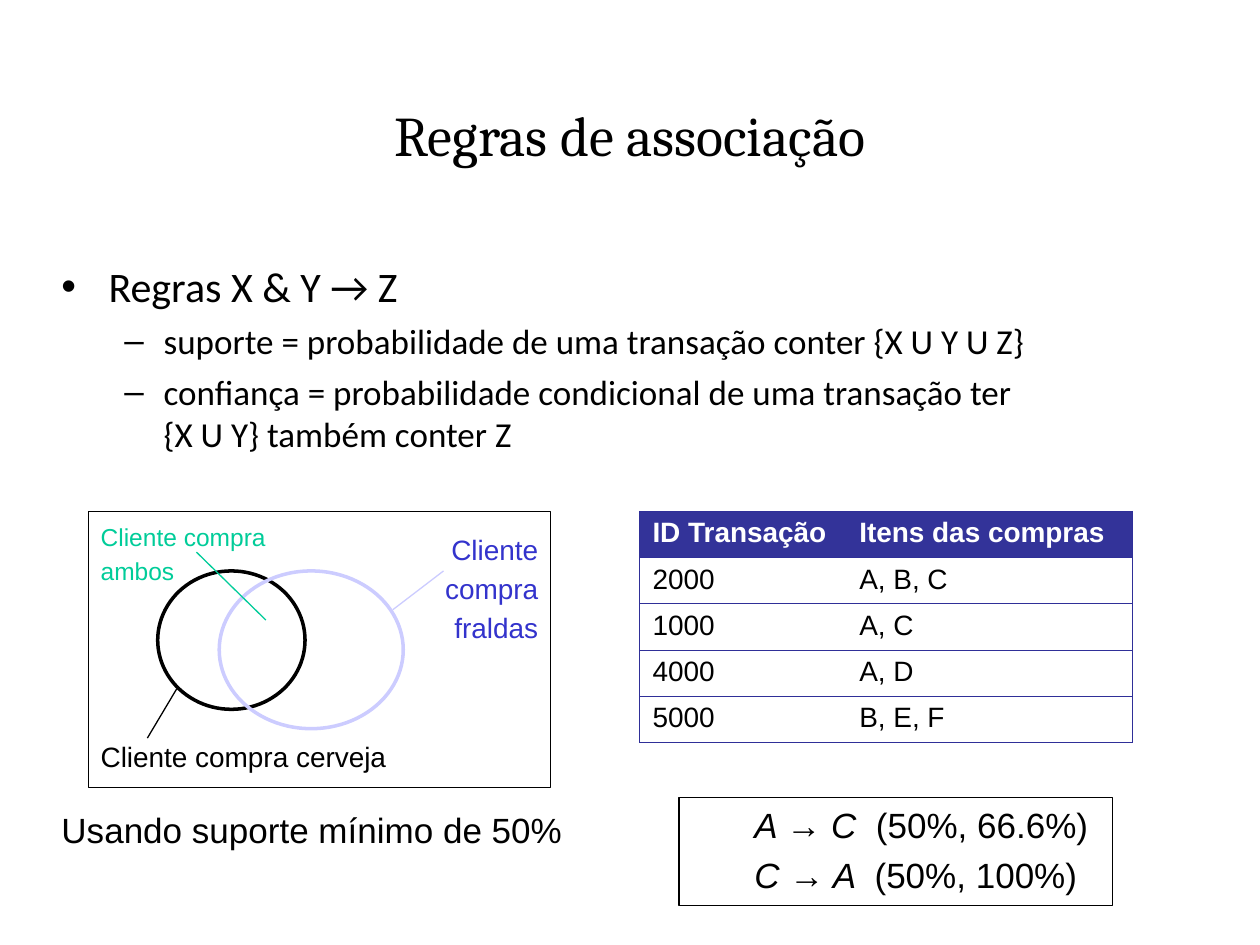
from lxml import etree
from pptx import Presentation
from pptx.dml.color import RGBColor
from pptx.enum import shapes, text
from pptx.oxml import ns
from pptx.util import Cm, Pt

BLACK = RGBColor(0x00, 0x00, 0x00)
WHITE = RGBColor(0xFF, 0xFF, 0xFF)
LILAC = RGBColor(0xCC, 0xCC, 0xFF)
BLUE = RGBColor(0x33, 0x33, 0xCC)
GREEN = RGBColor(0x00, 0xCC, 0x99)
HEADER = RGBColor(0x33, 0x33, 0x99)
BORDER = RGBColor(0x2F, 0x2F, 0x98)

PURCHASES = [
    ("ID Transação", "Itens das compras"),
    ("2000", "A, B, C"),
    ("1000", "A, C"),
    ("4000", "A, D"),
    ("5000", "B, E, F"),
]


def apply(target, settings):
    for name, value in settings.items():
        setattr(target, name, value)


def style_font(font, size, color=BLACK, name="Arial", **extra):
    apply(font, {"size": Pt(size), "name": name, **extra})
    font.color.rgb = color


def add_text(slide, box, words, size, color=BLACK, name="Arial", **layout):
    frame = slide.shapes.add_textbox(*map(Cm, box)).text_frame
    frame.word_wrap = True
    paragraph = frame.paragraphs[0]
    paragraph.text = words
    apply(paragraph, layout)
    style_font(paragraph.font, size, color, name)
    return frame


def indent(paragraph, left, hanging, bullet=None):
    """Set a hanging indent and, where given, a bullet character."""
    properties = paragraph._p.get_or_add_pPr()
    properties.set("marL", str(Cm(left)))
    properties.set("indent", str(-Cm(hanging)))
    if bullet:
        etree.SubElement(properties, ns.qn("a:buFont"), typeface="Arial")
        etree.SubElement(properties, ns.qn("a:buChar"), char=bullet)


def add_outline(slide, kind, box, color=BLACK, width=0.75):
    outline = slide.shapes.add_shape(kind, *map(Cm, box))
    outline.shadow.inherit = False
    outline.fill.background()
    outline.line.color.rgb = color
    outline.line.width = Pt(width)
    return outline


def add_pointer(slide, start, end, color):
    pointer = slide.shapes.add_connector(
        shapes.MSO_CONNECTOR.STRAIGHT, *map(Cm, start + end))
    pointer.line.color.rgb = color
    pointer.line.width = Pt(0.75)
    etree.SubElement(pointer._element.spPr, ns.qn("a:effectLst"))


def add_definitions(slide):
    items = [
        ("Regras X & Y → Z", 24, 0.95, 0.95, "•"),
        ("suporte = probabilidade de uma transação conter {X U Y U Z}",
         20, 2.06, 0.79, "–"),
        ("confiança = probabilidade condicional de uma transação ter\v"
         "{X U Y} também conter Z", 20, 2.06, 0.79, "–"),
    ]
    frame = slide.shapes.add_textbox(
        Cm(0.99), Cm(5.13), Cm(23.42), Cm(13.21)).text_frame
    frame.word_wrap = True
    for index, (words, size, left, hanging, bullet) in enumerate(items):
        paragraph = frame.add_paragraph() if index else frame.paragraphs[0]
        paragraph.text = words
        paragraph.space_before = Pt(5 if index else 0)
        style_font(paragraph.font, size, name="Calibri")
        indent(paragraph, left, hanging, bullet)


def add_venn(slide):
    oval = shapes.MSO_SHAPE.OVAL
    add_outline(slide, oval, (3.18, 11.51, 2.97, 2.79), width=2)
    add_outline(slide, oval, (4.42, 11.51, 3.71, 3.18), LILAC, 2)
    add_pointer(slide, (3.56, 13.89), (2.97, 14.88), BLACK)
    add_pointer(slide, (7.92, 12.29), (8.94, 11.51), LILAC)
    add_pointer(slide, (5.36, 12.5), (3.96, 11.13), GREEN)
    add_text(slide, (6.93, 10.52, 4.17, 1.78), "Cliente compra fraldas", 16,
             BLUE, alignment=text.PP_ALIGN.RIGHT, line_spacing=1.15)
    add_text(slide, (1.78, 10.31, 5.16, 0.86), "Cliente compra ambos", 14,
             GREEN, line_spacing=1.15)
    add_text(slide, (1.78, 14.68, 7.72, 0.97), "Cliente compra cerveja", 16,
             line_spacing=1.15)
    add_outline(slide, shapes.MSO_SHAPE.RECTANGLE, (1.78, 10.31, 9.32, 5.56))


def set_borders(cell, column):
    """Rule every side of a cell except the one between the two columns."""
    properties = cell._tc.get_or_add_tcPr()
    hidden = "lnL" if column else "lnR"
    for position, side in enumerate(("lnL", "lnR", "lnT", "lnB")):
        line = etree.Element(ns.qn(f"a:{side}"), w=str(Pt(0.75)))
        if side == hidden:
            etree.SubElement(line, ns.qn("a:noFill"))
        else:
            fill = etree.SubElement(line, ns.qn("a:solidFill"))
            etree.SubElement(fill, ns.qn("a:srgbClr"), val=str(BORDER))
        properties.insert(position, line)


def add_purchases(slide):
    table = slide.shapes.add_table(
        len(PURCHASES), 2, Cm(12.9), Cm(10.31), Cm(9.93), Cm(4.65)).table
    apply(table, {"first_row": False, "horz_banding": False})
    for column, width in zip(table.columns, (4.17, 5.76)):
        column.width = Cm(width)
    for row, values in enumerate(PURCHASES):
        is_header = row == 0
        for column, value in enumerate(values):
            cell = table.cell(row, column)
            cell.text = value
            cell.fill.solid()
            cell.fill.fore_color.rgb = HEADER if is_header else WHITE
            style_font(cell.text_frame.paragraphs[0].font, 16,
                       WHITE if is_header else BLACK, bold=is_header)
            set_borders(cell, column)


def add_rules(slide):
    rules = [("A → C  ", "(50%, 66.6%)"), ("C → A  ", "(50%, 100%)")]
    frame = add_outline(slide, shapes.MSO_SHAPE.RECTANGLE,
                        (13.69, 16.08, 8.74, 2.18)).text_frame
    apply(frame, {"word_wrap": True,
                  "vertical_anchor": text.MSO_ANCHOR.MIDDLE})
    for index, (rule, measures) in enumerate(rules):
        paragraph = frame.add_paragraph() if index else frame.paragraphs[0]
        apply(paragraph, {"alignment": text.PP_ALIGN.LEFT,
                          "line_spacing": 0.93, "space_before": Pt(6)})
        indent(paragraph, 2.06, 0.79)
        for words, italic in ((rule, True), (measures, False)):
            run = paragraph.add_run()
            run.text = words
            style_font(run.font, 20, italic=italic)


def main():
    deck = Presentation()
    apply(deck, {"slide_width": Cm(25.4), "slide_height": Cm(19.05)})
    slide = deck.slides.add_slide(deck.slide_layouts[6])
    add_text(slide, (0.97, 1.91, 23.47, 3.02), "Regras de associação", 32,
             name="Cambria", alignment=text.PP_ALIGN.CENTER)
    add_definitions(slide)
    add_rules(slide)
    add_venn(slide)
    add_purchases(slide)
    add_text(slide, (0.99, 16.18, 11.3, 1.12),
             "Usando suporte mínimo de 50%", 20)
    deck.save("out.pptx")


if __name__ == "__main__":
    main()
